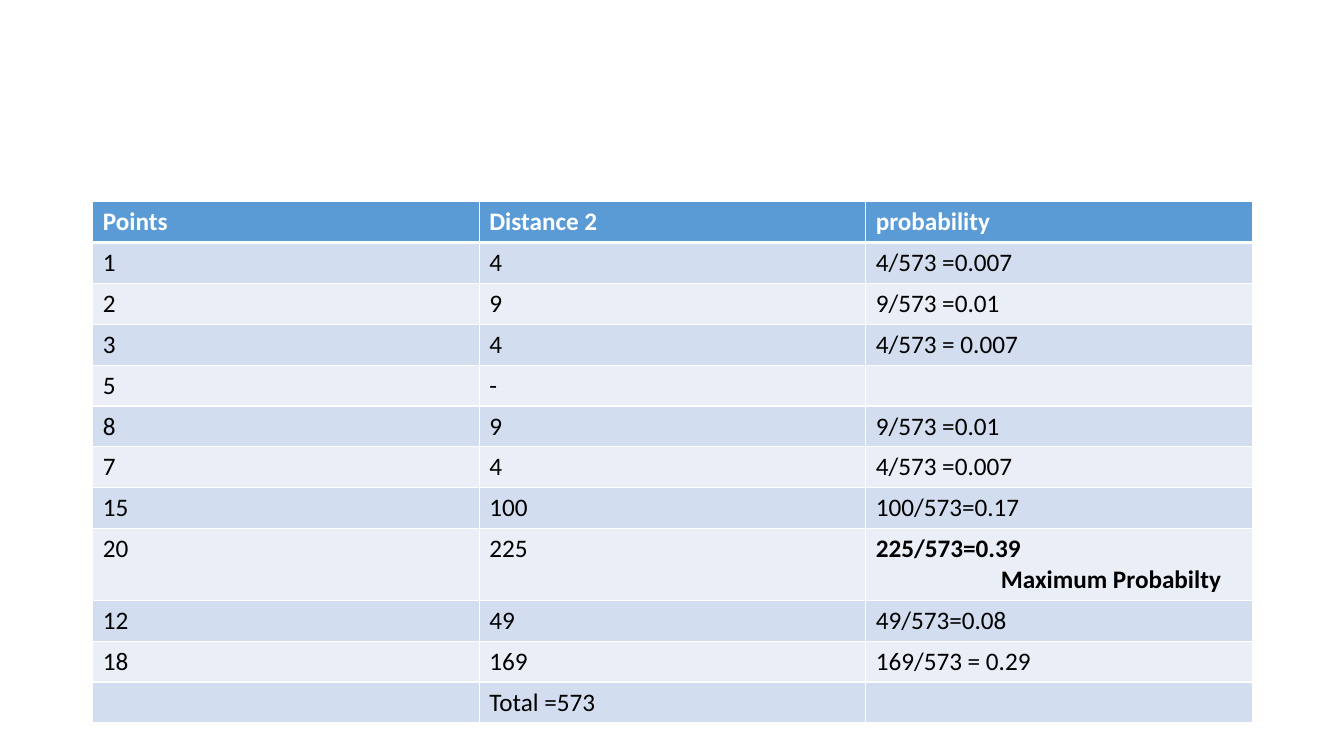
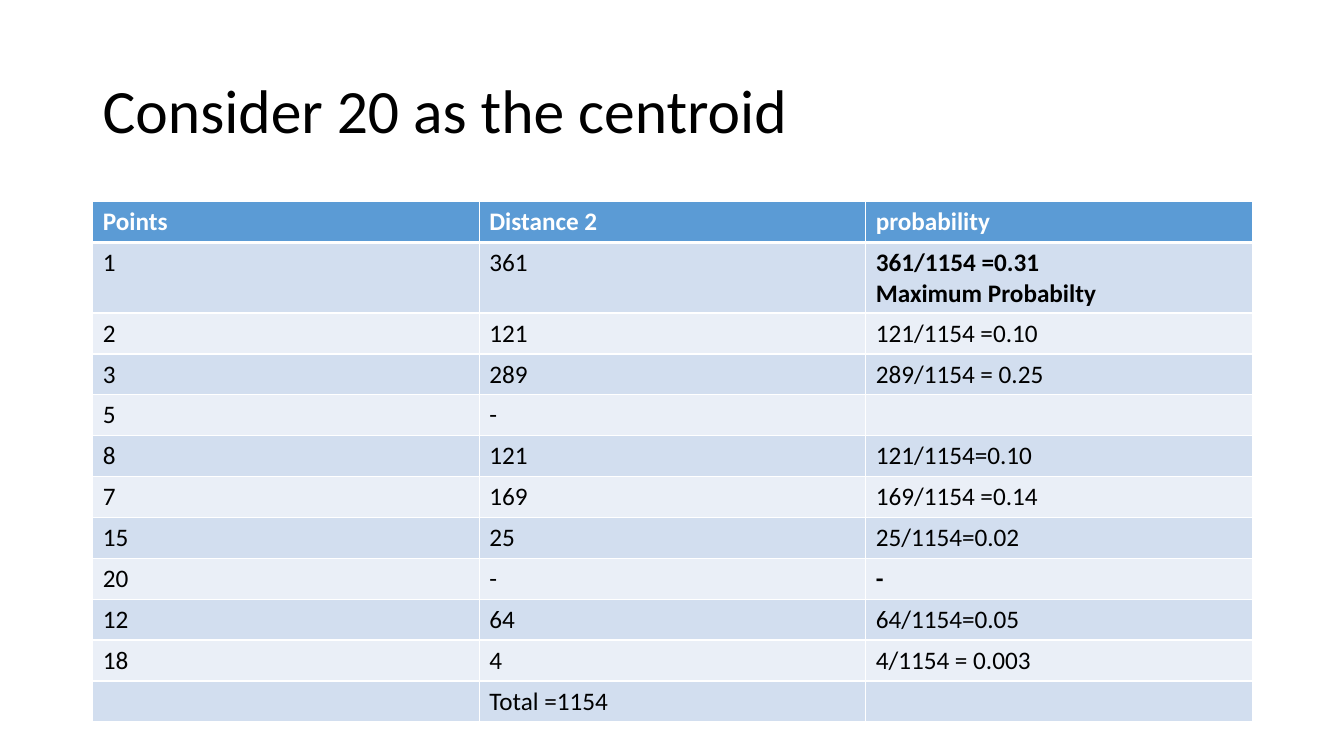
import pptx
import pptx.dml.color
import pptx.enum.text
import pptx.oxml
import pptx.oxml.ns
import pptx.util

Inches, Pt = pptx.util.Inches, pptx.util.Pt

COLORS = {
    "header": "5B9BD5",
    "odd_row": "D2DEEF",
    "even_row": "EAEFF7",
    "border": "FFFFFF",
    "header_text": "FFFFFF",
    "text": "000000",
}
TITLE_FORMAT = {"name": "Calibri", "size": Pt(44), "bold": False}
HEADER_FORMAT = {"name": "Calibri", "size": Pt(18), "bold": True}
BODY_FORMAT = {**HEADER_FORMAT, "bold": False}
MAXIMUM_FORMAT = HEADER_FORMAT

LEFT, CONTENT_WIDTH = Inches(0.92), Inches(11.5)
TABLE_TOP = Inches(2)
ROW_HEIGHT, TWO_LINE_HEIGHT = Pt(29.2), Inches(0.7)
THIN, THICK = Pt(1), Pt(3)

HEADINGS = ("Points", "Distance 2", "probability")
POINTS = ("1", "2", "3", "5", "8", "7", "15", "20", "12", "18", "")

FIRST_DISTANCES = ("4", "9", "4", "-", "9", "4", "100", "225", "49", "169",
                   "Total =573")
FIRST_PROBABILITIES = (
    "4/573 =0.007", "9/573 =0.01", "4/573 = 0.007", "", "9/573 =0.01",
    "4/573 =0.007", "100/573=0.17", "225/573=0.39\nMaximum Probabilty",
    "49/573=0.08", "169/573 = 0.29", "",
)
SECOND_DISTANCES = ("361", "121", "289", "-", "121", "169", "25", "-", "64",
                    "4", "Total =1154")
SECOND_PROBABILITIES = (
    "361/1154 =0.31\nMaximum Probabilty", "121/1154 =0.10",
    "289/1154 = 0.25", "", "121/1154=0.10", "169/1154 =0.14",
    "25/1154=0.02", "-", "64/1154=0.05", "4/1154 = 0.003", "",
)


def rgb(color):
    return pptx.dml.color.RGBColor.from_string(COLORS[color])


def format_font(font, values, color):
    for attribute, value in values.items():
        setattr(font, attribute, value)
    font.color.rgb = rgb(color)


def add_title(slide, text):
    title = slide.shapes.add_textbox(LEFT, Inches(0.4), CONTENT_WIDTH,
                                     Inches(1.45))
    frame = title.text_frame
    frame.word_wrap = True
    frame.vertical_anchor = pptx.enum.text.MSO_ANCHOR.MIDDLE
    paragraph = frame.paragraphs[0]
    paragraph.text = text
    paragraph.line_spacing = 0.9
    format_font(paragraph.font, TITLE_FORMAT, "text")


def set_borders(cell, top, bottom):
    """Draw all four edges; must run before the cell gets its fill."""
    properties = cell._tc.get_or_add_tcPr()
    widths = {"lnL": THIN, "lnR": THIN, "lnT": top, "lnB": bottom}
    for edge, width in widths.items():
        properties.append(pptx.oxml.parse_xml(
            f'<a:{edge} {pptx.oxml.ns.nsdecls("a")} w="{int(width)}">'
            f'<a:solidFill><a:srgbClr val="{COLORS["border"]}"/>'
            f'</a:solidFill></a:{edge}>'))


def fill_cell(cell, text, row, bold, note_indent):
    set_borders(cell, top=THICK if row == 1 else THIN,
                bottom=THICK if row == 0 else THIN)
    cell.fill.solid()
    banding = "odd_row" if row % 2 else "even_row"
    cell.fill.fore_color.rgb = rgb(banding if row else "header")
    cell.text = text
    values = HEADER_FORMAT if row == 0 else MAXIMUM_FORMAT if bold else BODY_FORMAT
    for paragraph in cell.text_frame.paragraphs:
        format_font(paragraph.font, values, "text" if row else "header_text")
    for note in cell.text_frame.paragraphs[1:]:
        note._p.get_or_add_pPr().set("marL", str(int(note_indent)))


def add_probability_table(slide, distances, probabilities, note_indent=0):
    rows = [HEADINGS, *zip(POINTS, distances, probabilities)]
    heights = [TWO_LINE_HEIGHT if "\n" in row[-1] else ROW_HEIGHT for row in rows]
    table = slide.shapes.add_table(len(rows), len(HEADINGS), LEFT, TABLE_TOP,
                                   CONTENT_WIDTH, sum(heights)).table
    for r, (texts, height) in enumerate(zip(rows, heights)):
        table.rows[r].height = height
        for c, text in enumerate(texts):
            bold = "\n" in text or (c == 2 and text == "-")
            fill_cell(table.cell(r, c), text, r, bold, note_indent)


def main():
    deck = pptx.Presentation()
    deck.slide_width, deck.slide_height = Inches(13.33), Inches(7.5)
    blank = deck.slide_layouts[6]

    first_centroid = deck.slides.add_slide(blank)
    add_probability_table(first_centroid, FIRST_DISTANCES, FIRST_PROBABILITIES,
                          note_indent=Inches(1.24))

    second_centroid = deck.slides.add_slide(blank)
    add_title(second_centroid, "Consider 20 as the centroid")
    add_probability_table(second_centroid, SECOND_DISTANCES, SECOND_PROBABILITIES)

    deck.save("out.pptx")


if __name__ == "__main__":
    main()
